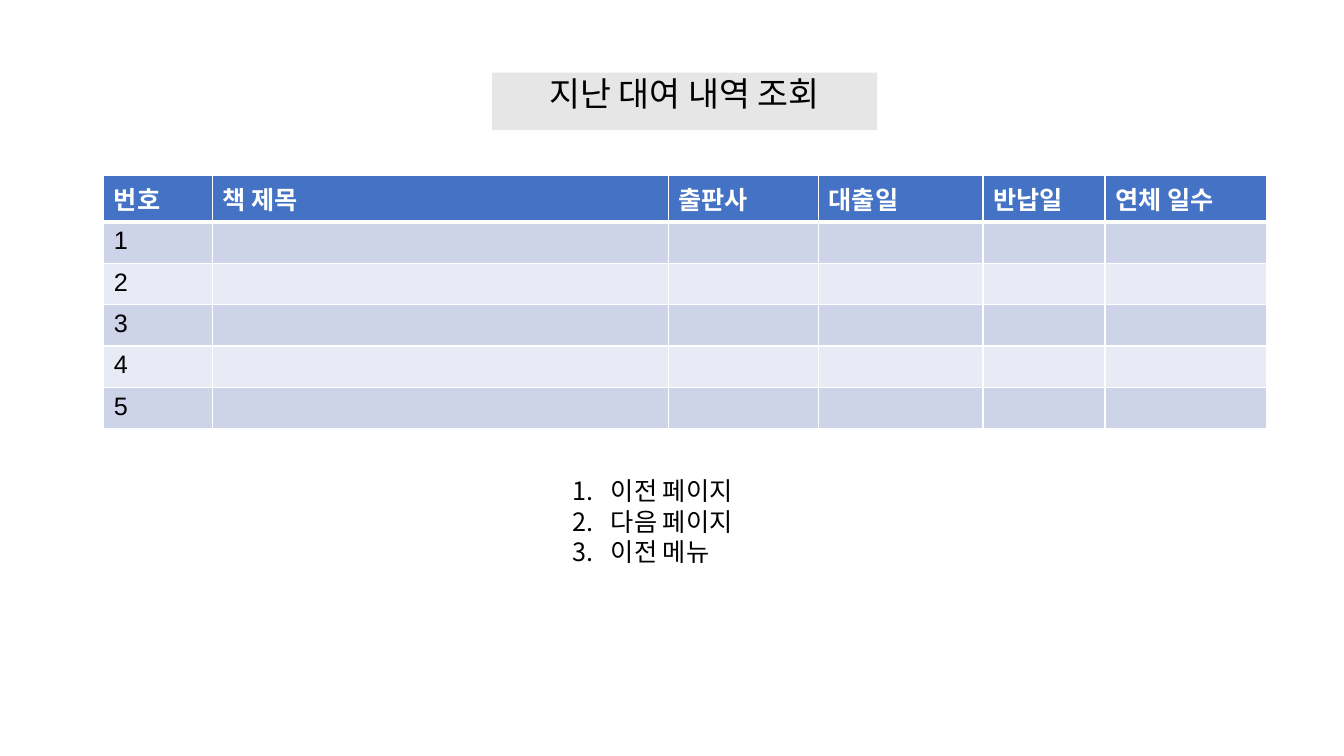
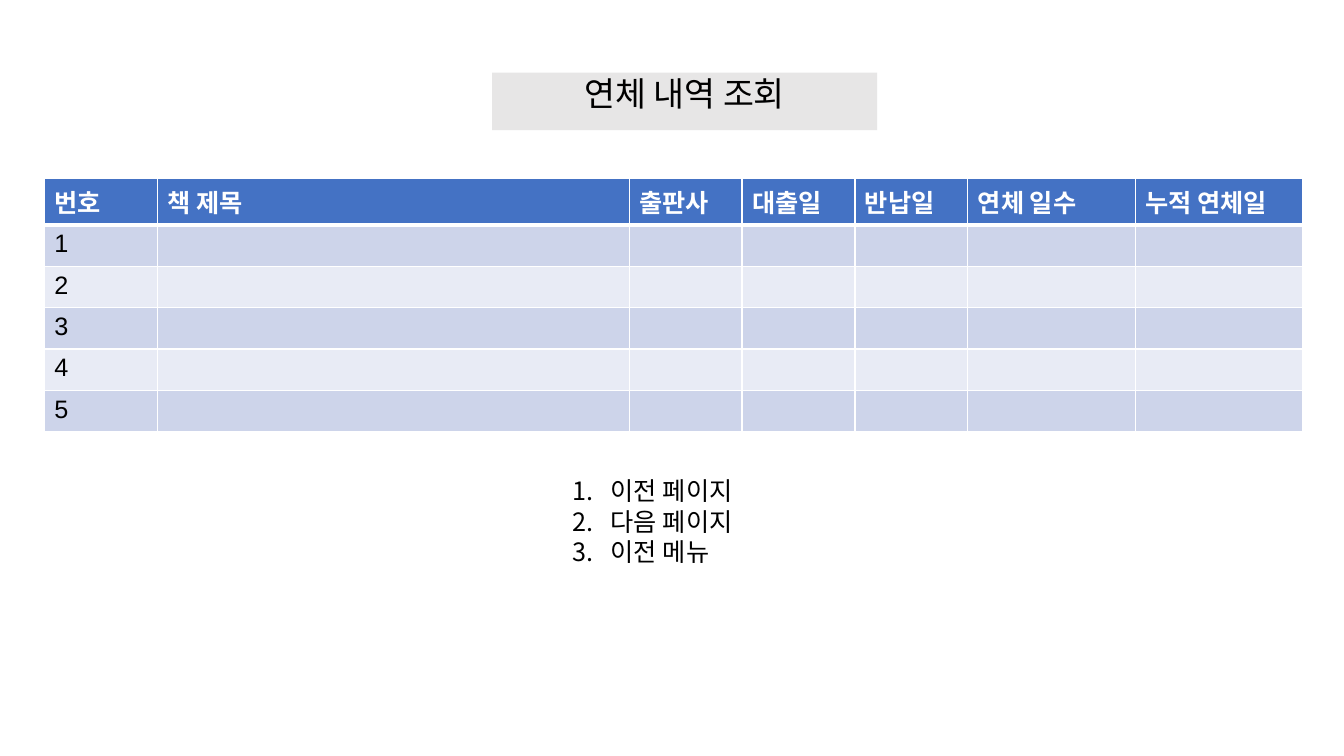
from dataclasses import dataclass

from lxml import etree
from pptx import Presentation
from pptx.dml.color import RGBColor
from pptx.enum.text import MSO_ANCHOR, MSO_AUTO_SIZE, PP_ALIGN
from pptx.oxml.ns import qn
from pptx.slide import Slide
from pptx.util import Inches, Pt

BLACK = "000000"
WHITE = "FFFFFF"
TITLE_BAND = "E7E6E6"
HEADER_FILL = "4472C4"
ROW_FILLS = ("CDD4EA", "E8EBF5")

KOREAN_FONT = "Noto Sans CJK KR"
TABLE_FONT = "Arial"

TITLE_ONLY = 5
BOOK_ROWS = 5
HEADER_HEIGHT = 0.44
ROW_HEIGHT = 0.41
THIN, THICK = 1, 3
MENU = ("이전 페이지", "다음 페이지", "이전 메뉴")
MENU_INDENT = 0.38


@dataclass(frozen=True)
class Column:
    heading: str
    width: float


@dataclass(frozen=True)
class HistoryPage:
    title: str
    table_left: float
    table_top: float
    columns: tuple[Column, ...]
    menu_width: float


PAGES = (
    HistoryPage(
        "지난 대여 내역 조회", 1.03, 1.74,
        (
            Column("번호", 1.08),
            Column("책 제목", 4.52),
            Column("출판사", 1.49),
            Column("대출일", 1.63),
            Column("반납일", 1.21),
            Column("연체 일수", 1.6),
        ),
        3.12,
    ),
    HistoryPage(
        "연체 내역 조회", 0.44, 1.77,
        (
            Column("번호", 1.12),
            Column("책 제목", 4.68),
            Column("출판사", 1.12),
            Column("대출일", 1.12),
            Column("반납일", 1.12),
            Column("연체 일수", 1.66),
            Column("누적 연체일", 1.66),
        ),
        1.93,
    ),
)


def rgb(value: str) -> RGBColor:
    return RGBColor.from_string(value)


def add_run(paragraph, text: str, size: int, font: str = KOREAN_FONT,
            color: str = BLACK, bold: bool = False) -> None:
    run = paragraph.add_run()
    run.text = text
    run.font.size = Pt(size)
    run.font.name = font
    run.font.bold = bold
    run.font.color.rgb = rgb(color)
    east_asian = etree.Element(qn("a:ea"), typeface=KOREAN_FONT)
    run.font._element.find(qn("a:latin")).addnext(east_asian)


def add_title(slide: Slide, text: str) -> None:
    title = slide.shapes.title
    title.left, title.top = Inches(4.88), Inches(0.72)
    title.width, title.height = Inches(3.82), Inches(0.57)
    title.fill.solid()
    title.fill.fore_color.rgb = rgb(TITLE_BAND)
    frame = title.text_frame
    frame.auto_size = MSO_AUTO_SIZE.NONE
    frame.vertical_anchor = MSO_ANCHOR.TOP
    paragraph = frame.paragraphs[0]
    paragraph.alignment = PP_ALIGN.CENTER
    paragraph.line_spacing = 0.9
    add_run(paragraph, text, 24)


def style_cell(cell, fill: str, top: int, bottom: int) -> None:
    """Draw white borders, then the fill, in the order the schema asks for."""
    properties = cell._tc.get_or_add_tcPr()
    for side, points in (("L", THIN), ("R", THIN), ("T", top), ("B", bottom)):
        line = etree.SubElement(properties, qn(f"a:ln{side}"), w=str(Pt(points)))
        solid = etree.SubElement(line, qn("a:solidFill"))
        etree.SubElement(solid, qn("a:srgbClr"), val=WHITE)
    cell.fill.solid()
    cell.fill.fore_color.rgb = rgb(fill)


def add_book_table(slide: Slide, page: HistoryPage) -> None:
    width = sum(column.width for column in page.columns)
    height = HEADER_HEIGHT + BOOK_ROWS * ROW_HEIGHT
    table = slide.shapes.add_table(
        BOOK_ROWS + 1, len(page.columns), Inches(page.table_left),
        Inches(page.table_top), Inches(width), Inches(height),
    ).table

    table.rows[0].height = Inches(HEADER_HEIGHT)
    for index, column in enumerate(page.columns):
        table.columns[index].width = Inches(column.width)
        heading = table.cell(0, index)
        style_cell(heading, HEADER_FILL, THIN, THICK)
        add_run(heading.text_frame.paragraphs[0], column.heading, 18,
                TABLE_FONT, WHITE, bold=True)

    for number in range(1, BOOK_ROWS + 1):
        row = table.rows[number]
        row.height = Inches(ROW_HEIGHT)
        for cell in row.cells:
            style_cell(cell, ROW_FILLS[(number - 1) % 2],
                       THICK if number == 1 else THIN, THIN)
        add_run(row.cells[0].text_frame.paragraphs[0], str(number), 18, TABLE_FONT)


def number_paragraph(paragraph) -> None:
    """Give the paragraph automatic numbering with a hanging indent."""
    properties = paragraph._p.get_or_add_pPr()
    properties.set("marL", str(Inches(MENU_INDENT)))
    properties.set("indent", str(-Inches(MENU_INDENT)))
    etree.SubElement(properties, qn("a:buFont"), typeface="+mj-lt")
    etree.SubElement(properties, qn("a:buAutoNum"), type="arabicPeriod")


def add_menu(slide: Slide, width: float) -> None:
    menu = slide.shapes.add_textbox(
        Inches(5.58), Inches(4.67), Inches(width), Inches(1.01))
    frame = menu.text_frame
    frame.word_wrap = True
    frame.auto_size = MSO_AUTO_SIZE.SHAPE_TO_FIT_TEXT
    for index, choice in enumerate(MENU):
        paragraph = frame.add_paragraph() if index else frame.paragraphs[0]
        number_paragraph(paragraph)
        add_run(paragraph, choice, 18)


def main() -> None:
    presentation = Presentation()
    presentation.slide_width = Inches(13.33)
    presentation.slide_height = Inches(7.5)
    for page in PAGES:
        slide = presentation.slides.add_slide(presentation.slide_layouts[TITLE_ONLY])
        add_title(slide, page.title)
        add_book_table(slide, page)
        add_menu(slide, page.menu_width)
    presentation.save("out.pptx")


if __name__ == "__main__":
    main()
